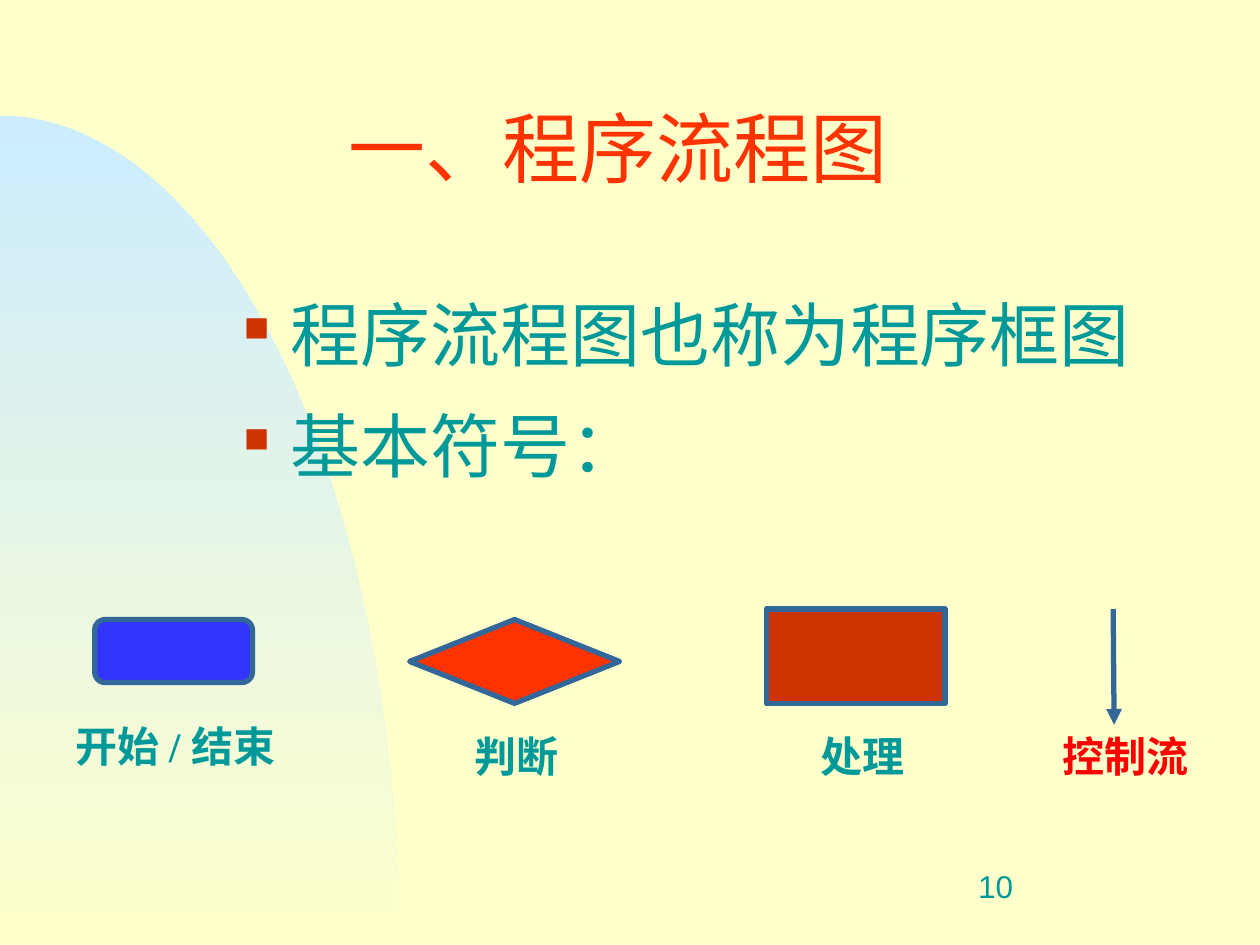
from math import cos, pi, sin

from lxml import etree
from pptx import Presentation
from pptx.dml.color import RGBColor
from pptx.enum.shapes import MSO_CONNECTOR, MSO_SHAPE
from pptx.enum.text import MSO_ANCHOR, PP_ALIGN
from pptx.oxml.ns import qn
from pptx.util import Cm, Pt

STRAIGHT = MSO_CONNECTOR.STRAIGHT
ROUNDED, DIAMOND, RECTANGLE = MSO_SHAPE.ROUNDED_RECTANGLE, MSO_SHAPE.DIAMOND, MSO_SHAPE.RECTANGLE
MIDDLE, JUSTIFY, LEFT = MSO_ANCHOR.MIDDLE, PP_ALIGN.JUSTIFY, PP_ALIGN.LEFT

COLORS = {
    "paper": "FFFFCC", "sky": "CCECFF", "teal": "009999", "title": "FF3300",
    "bullet": "CC3300", "outline": "336699", "terminal": "3333FF",
    "decision": "FF3300", "process": "CC3300", "flow": "FF0000",
}
CJK_FONT = "Noto Sans CJK SC"


def rgb(key):
    return RGBColor.from_string(COLORS[key])


def style_text(paragraph, font_name, size, color, bold=False):
    font = paragraph.font
    font.name, font.size, font.bold = font_name, Pt(size), bold
    font.color.rgb = rgb(color)
    if font_name == CJK_FONT:
        for run in paragraph.runs:
            ea = etree.SubElement(run._r.get_or_add_rPr(), qn("a:ea"))
            ea.set("typeface", CJK_FONT)


def add_text(slide, box, text, font_name, size, color, bold=False):
    frame = slide.shapes.add_textbox(*map(Cm, box)).text_frame
    frame.word_wrap = True
    frame.text = text
    style_text(frame.paragraphs[0], font_name, size, color, bold)


def add_backdrop(slide, box, steps=90):
    slide.background.fill.solid()
    slide.background.fill.fore_color.rgb = rgb("paper")
    left, top, width, height = box
    angles = [pi / 2 * i / steps for i in range(steps + 1)]
    arc = [(Cm(left + width * sin(a)), Cm(top + height * (1 - cos(a)))) for a in angles]
    builder = slide.shapes.build_freeform(*arc[0])
    builder.add_line_segments(arc[1:] + [(Cm(left), Cm(top + height))], close=True)
    hill = builder.convert_to_shape()
    hill.shadow.inherit = False
    hill.line.fill.background()
    hill.fill.gradient()
    hill.fill.gradient_angle = 270
    for stop, color in zip(hill.fill.gradient_stops, ("sky", "paper")):
        stop.color.rgb = rgb(color)


def add_title(slide, box, text):
    title = slide.shapes.title
    title.left, title.top, title.width, title.height = map(Cm, box)
    frame = title.text_frame
    frame.text = text
    frame.vertical_anchor = MIDDLE
    paragraph = frame.paragraphs[0]
    paragraph.alignment = JUSTIFY
    paragraph.line_spacing = 0.7
    style_text(paragraph, CJK_FONT, 44, "title")


def add_bullet(paragraph):
    properties = paragraph._p.get_or_add_pPr()
    properties.set("marL", str(Cm(0.95)))
    properties.set("indent", str(-Cm(0.95)))
    color = etree.SubElement(properties, qn("a:buClr"))
    etree.SubElement(color, qn("a:srgbClr")).set("val", COLORS["bullet"])
    etree.SubElement(properties, qn("a:buSzPct")).set("val", "50000")
    etree.SubElement(properties, qn("a:buChar")).set("char", "■")


def add_points(slide, box, points):
    frame = slide.shapes.add_textbox(*map(Cm, box)).text_frame
    frame.word_wrap = True
    frame.text = "\n".join(points)
    for index, paragraph in enumerate(frame.paragraphs):
        add_bullet(paragraph)
        paragraph.alignment = LEFT
        paragraph.line_spacing = 1.15
        if index:
            paragraph.space_before = Pt(8)
        style_text(paragraph, CJK_FONT, 40, "teal")


def add_flow_arrow(slide, start, end):
    arrow = slide.shapes.add_connector(STRAIGHT, *map(Cm, start + end))
    arrow.line.color.rgb = rgb("outline")
    arrow.line.width = Pt(3)
    etree.SubElement(arrow.line._get_or_add_ln(), qn("a:tailEnd")).set("type", "triangle")
    etree.SubElement(arrow._element.spPr, qn("a:effectLst"))


def add_legend(slide, left, top):
    symbols = [
        (ROUNDED, "terminal", (0.64, 0.21, 3.18, 1.27)),
        (DIAMOND, "decision", (6.99, 0.21, 4.23, 1.69)),
        (RECTANGLE, "process", (14.18, 0, 3.6, 1.9)),
    ]
    for preset, color, (x, y, width, height) in symbols:
        symbol = slide.shapes.add_shape(
            preset, Cm(left + x), Cm(top + y), Cm(width), Cm(height))
        symbol.shadow.inherit = False
        symbol.fill.solid()
        symbol.fill.fore_color.rgb = rgb(color)
        symbol.line.color.rgb = rgb("outline")
        symbol.line.width = Pt(3)
    add_flow_arrow(slide, (left + 21.17, top), (left + 21.19, top + 2.33))
    labels = [
        ("开始 / 结束", "teal", 0, 2.12, 5.93),
        ("判断", "teal", 8.04, 2.33, 2.96),
        ("处理", "teal", 15.03, 2.33, 2.96),
        ("控制流", "flow", 19.9, 2.33, 3.39),
    ]
    for text, color, x, y, width in labels:
        add_text(slide, (left + x, top + y, width, 1.27), text,
                 "Times New Roman", 24, color, bold=True)


def main():
    deck = Presentation()
    deck.slide_width, deck.slide_height = Cm(25.4), Cm(19.05)
    slide = deck.slides.add_slide(deck.slide_layouts[5])
    add_backdrop(slide, (0, 2.33, 8.04, 16.72))
    add_title(slide, (6.77, 2.12, 12.5, 2.12), "一、程序流程图")
    add_points(slide, (4.66, 5.5, 18.54, 5.59), ["程序流程图也称为程序框图", "基本符号："])
    add_legend(slide, left=1.27, top=12.28)
    add_text(slide, (19.47, 17.36, 5.29, 1.27), "10", "Arial", 18, "teal")
    deck.save("out.pptx")


if __name__ == "__main__":
    main()
